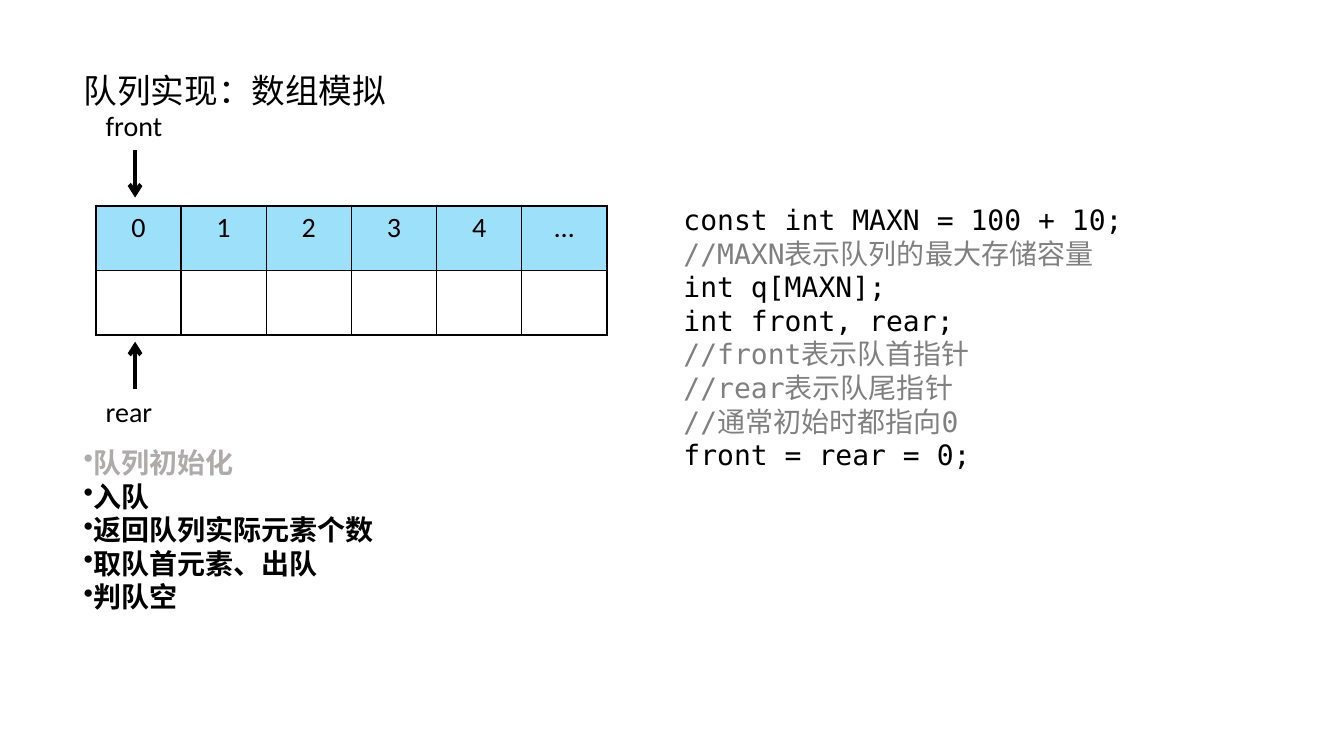
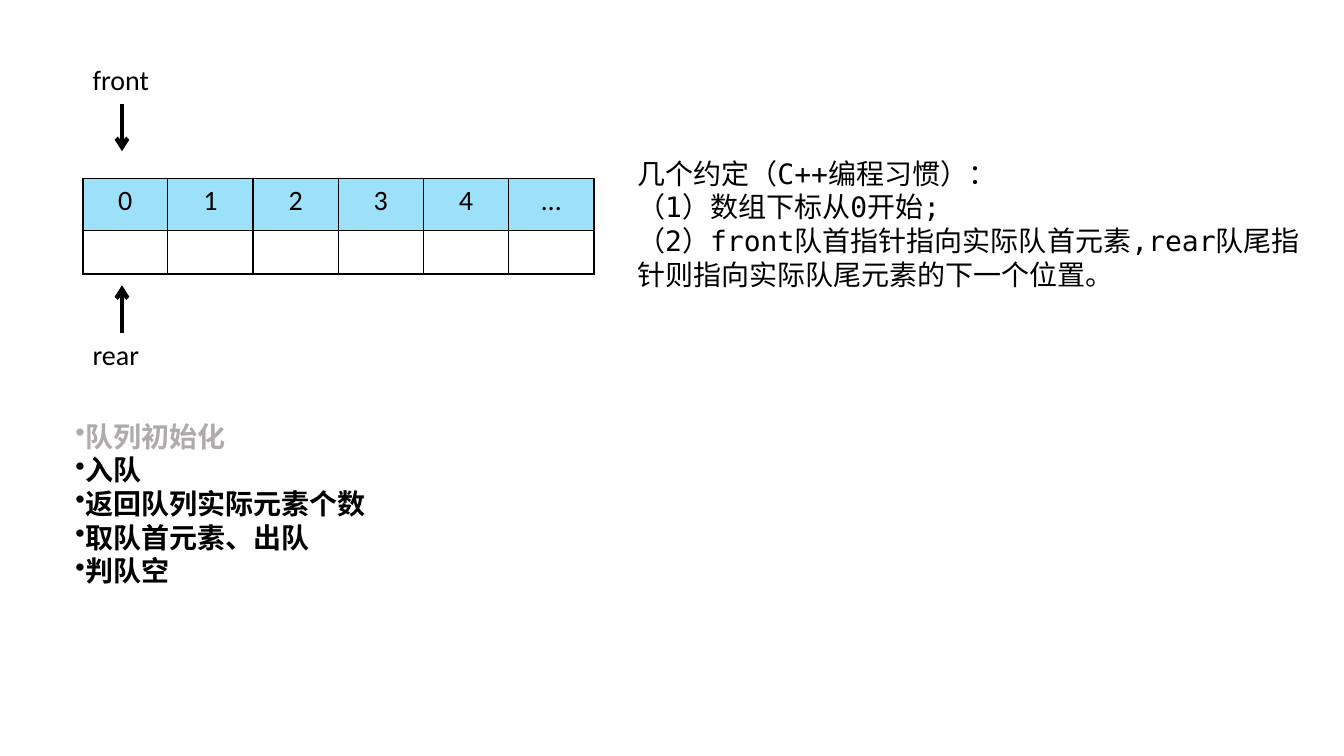
from lxml.etree import SubElement
from pptx import Presentation
from pptx.dml.color import RGBColor
from pptx.enum.shapes import MSO_CONNECTOR
from pptx.enum.text import MSO_ANCHOR, PP_ALIGN
from pptx.oxml.ns import qn
from pptx.util import Inches, Pt

BLACK, WHITE, CYAN = "000000", "FFFFFF", "00B0F0"
DONE_GREY, COMMENT_GREY = "AFABAB", "808080"
SANS, MONO, CJK = "Calibri", "DejaVu Sans Mono", "Noto Sans CJK SC"
BODY_SIZE, LINE_PITCH = 20, 24
THIN, THICK = 1, 1.5
CELL_WIDTH = 0.845
ARROW_LENGTH, ARROW_OFFSET, LABEL_HEIGHT = 0.47, 0.39, 0.44

INDEXES = ["0", "1", "2", "3", "4", "…"]
STEPS = ["队列初始化", "入队", "返回队列实际元素个数", "取队首元素、出队", "判队空"]
CODE = [
    "const int MAXN = 100 + 10;",
    "//MAXN表示队列的最大存储容量",
    "int q[MAXN];",
    "int front, rear;",
    "//front表示队首指针",
    "//rear表示队尾指针",
    "//通常初始时都指向0",
    "front = rear = 0;",
]
CONVENTIONS = [
    "几个约定（C++编程习惯）：",
    "（1）数组下标从0开始;",
    "（2）front队首指针指向实际队首元素,rear队尾指针则指向实际队尾元素的下一个位置。",
]
SLIDES = [
    dict(title="队列实现：数组模拟", steps_at=(0.73, 4.37), array_at=(0.95, 2.04),
         rows=(0.64, 0.64), front_tip=1.96, rear_tip=3.39,
         notes=CODE, notes_at=(6.68, 1.96, 5.35, 2.79)),
    dict(title=None, steps_at=(0.65, 4.11), array_at=(0.82, 1.77),
         rows=(0.52, 0.43), front_tip=1.5, rear_tip=2.83,
         notes=CONVENTIONS, notes_at=(6.22, 1.5, 6.85, 1.45)),
]


def color(code):
    return RGBColor.from_string(code)


def style(para, font, size=BODY_SIZE, tint=BLACK, bold=False):
    """Set the paragraph font, with the same CJK face everywhere."""
    para.font.name, para.font.size, para.font.bold = font, Pt(size), bold
    para.font.color.rgb = color(tint)
    SubElement(para._p.pPr.find(qn("a:defRPr")), qn("a:ea"), typeface=CJK)


def add_text(page, at, lines, wrap=True):
    """Add a text box and return its paragraphs."""
    frame = page.shapes.add_textbox(*map(Inches, at)).text_frame
    frame.word_wrap = wrap
    frame.text = "\n".join(lines)
    return frame.paragraphs


def add_title(page, text):
    title = page.shapes.title
    title.left, title.top, title.width, title.height = map(Inches, (0.73, 0.39, 3.63, 0.76))
    title.text_frame.text = text
    title.text_frame.vertical_anchor = MSO_ANCHOR.BOTTOM
    para = title.text_frame.paragraphs[0]
    para.alignment, para.line_spacing = PP_ALIGN.LEFT, 0.9
    style(para, CJK, 24)


def add_steps(page, at):
    for number, para in enumerate(add_text(page, (*at, 3.09, 1.78), STEPS, wrap=False)):
        para.line_spacing = Pt(LINE_PITCH)
        SubElement(para._p.get_or_add_pPr(), qn("a:buChar"), char="•")
        style(para, CJK, tint=BLACK if number else DONE_GREY, bold=True)


def add_notes(page, at, lines):
    for para in add_text(page, at, lines):
        para.line_spacing = Pt(LINE_PITCH)
        style(para, MONO, tint=COMMENT_GREY if para.text.startswith("//") else BLACK)


def set_borders(cell, widths):
    props = cell._tc.get_or_add_tcPr()
    for side, width in zip("LRTB", widths):
        line = SubElement(props, qn(f"a:ln{side}"), w=str(Pt(width)))
        SubElement(SubElement(line, qn("a:solidFill")), qn("a:srgbClr"), val=BLACK)


def add_array(page, at, heights):
    last_row, last_column = len(heights) - 1, len(INDEXES) - 1
    size = (CELL_WIDTH * len(INDEXES), sum(heights))
    table = page.shapes.add_table(len(heights), len(INDEXES), *map(Inches, at + size)).table
    table.first_row = table.horz_banding = False
    for column in table.columns:
        column.width = Inches(CELL_WIDTH)
    for row, height in enumerate(heights):
        table.rows[row].height = Inches(height)
        for column, index in enumerate(INDEXES):
            cell = table.cell(row, column)
            outer = (column == 0, column == last_column, row == 0, row == last_row)
            set_borders(cell, [THICK if edge else THIN for edge in outer])
            cell.fill.solid()
            cell.fill.fore_color.rgb = color(WHITE if row else CYAN)
            if row == 0:
                fill = cell._tc.tcPr.find(qn("a:solidFill"))
                SubElement(fill.find(qn("a:srgbClr")), qn("a:alpha"), val="39000")
                cell.text = index
                para = cell.text_frame.paragraphs[0]
                para.alignment = PP_ALIGN.CENTER
                style(para, SANS)


def add_pointer(page, name, width, left, tip, down):
    """Add a labelled arrow whose head is at height tip."""
    tail = tip - ARROW_LENGTH if down else tip + ARROW_LENGTH
    top = tail - LABEL_HEIGHT - 0.02 if down else tail
    style(add_text(page, (left, top, width, LABEL_HEIGHT), [name], wrap=False)[0], SANS)
    x = left + ARROW_OFFSET
    arrow = page.shapes.add_connector(MSO_CONNECTOR.STRAIGHT, *map(Inches, (x, tail, x, tip)))
    arrow.line.color.rgb, arrow.line.width = color(BLACK), Pt(3)
    SubElement(arrow.line._get_or_add_ln(), qn("a:tailEnd"), type="arrow")
    SubElement(arrow._element.spPr, qn("a:effectLst"))


def main():
    deck = Presentation()
    deck.slide_width, deck.slide_height = Inches(13.33), Inches(7.5)
    title_only, blank = deck.slide_layouts[5], deck.slide_layouts[6]
    for content in SLIDES:
        page = deck.slides.add_slide(title_only if content["title"] else blank)
        if content["title"]:
            add_title(page, content["title"])
        add_steps(page, content["steps_at"])
        add_array(page, content["array_at"], content["rows"])
        add_notes(page, content["notes_at"], content["notes"])
        left = content["array_at"][0]
        add_pointer(page, "front", 0.76, left, content["front_tip"], down=True)
        add_pointer(page, "rear", 0.66, left, content["rear_tip"], down=False)
    deck.save("out.pptx")


if __name__ == "__main__":
    main()
